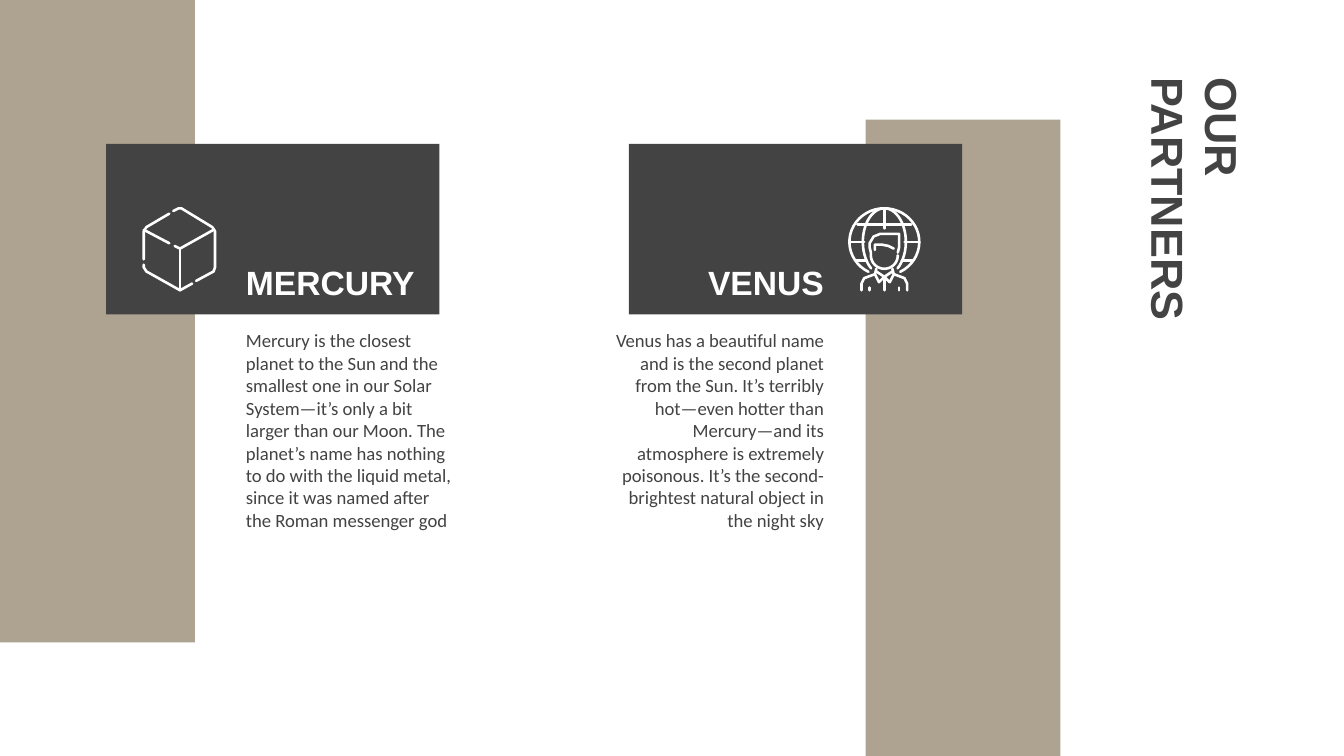
"""Build the partners slide with two planet columns."""
from dataclasses import dataclass
from math import cos, radians, sin

from lxml.etree import SubElement
from pptx import Presentation
from pptx.dml.color import RGBColor
from pptx.enum.shapes import MSO_SHAPE
from pptx.enum.text import MSO_ANCHOR as Anchor, MSO_AUTO_SIZE as AutoSize, PP_ALIGN as Align
from pptx.oxml.ns import qn
from pptx.util import Inches, Pt


@dataclass(frozen=True)
class Theme:
    """Colours, fonts and sizes of the slide."""
    dark: RGBColor = RGBColor(0x43, 0x43, 0x43)
    sand: RGBColor = RGBColor(0x90, 0x82, 0x69)
    white: RGBColor = RGBColor(0xFF, 0xFF, 0xFF)
    sand_opacity: int = 73
    heading_font: str = "Arial"
    body_font: str = "Calibri"
    title_size: Pt = Pt(24)
    heading_size: Pt = Pt(18)
    body_size: Pt = Pt(10)
    icon_line: Pt = Pt(1.4)


THEME = Theme()
GLOBE_X, GLOBE_Y = 6.58, 1.8
MERCURY = (
    "Mercury is the closest planet to the Sun and the smallest one in our Solar "
    "System—it’s only a bit larger than our Moon. The planet’s name has nothing to do "
    "with the liquid metal, since it was named after the Roman messenger god"
)
VENUS = (
    "Venus has a beautiful name and is the second planet from the Sun. It’s terribly "
    "hot—even hotter than Mercury—and its atmosphere is extremely poisonous. It’s the "
    "second-brightest natural object in the night sky"
)


def add_block(slide, box, color, opacity=100):
    """Add a flat rectangle, optionally see-through."""
    shape = slide.shapes.add_shape(MSO_SHAPE.RECTANGLE, *map(Inches, box))
    shape.shadow.inherit = False
    shape.fill.solid()
    shape.fill.fore_color.rgb = color
    shape.line.fill.background()
    if opacity < 100:
        color_element = shape.fill._xPr.find(qn("a:solidFill"))[0]
        SubElement(color_element, qn("a:alpha"), val=str(opacity * 1000))


def place_text(slide, index, box, text, size, color, font_name, bold=False,
               align=Align.LEFT, anchor=Anchor.TOP, rotation=0):
    """Move a placeholder to the front and write one formatted paragraph in it."""
    shape = slide.placeholders[index]
    slide.shapes._spTree.append(shape._element)
    shape.left, shape.top, shape.width, shape.height = map(Inches, box)
    shape.rotation = rotation
    frame = shape.text_frame
    frame.word_wrap = True
    frame.auto_size = AutoSize.NONE
    frame.vertical_anchor = anchor
    frame.margin_left = frame.margin_right = Inches(0.1)
    frame.margin_top = frame.margin_bottom = Inches(0.1)
    paragraph = frame.paragraphs[0]
    properties = paragraph._p.get_or_add_pPr()
    properties.set("marL", "0")
    properties.set("indent", "0")
    SubElement(properties, qn("a:buNone"))
    paragraph.alignment = align
    paragraph.space_before = Pt(0)
    run = paragraph.add_run()
    run.text = text
    run.font.name = font_name
    run.font.size = size
    run.font.bold = bold
    run.font.color.rgb = color


def add_icon(slide, strokes):
    """Draw open strokes as one outline with round ends."""
    paths = [[(Inches(x), Inches(y)) for x, y in stroke] for stroke in strokes]
    builder = slide.shapes.build_freeform(*paths[0][0])
    for number, path in enumerate(paths):
        if number:
            builder.move_to(*path[0])
        builder.add_line_segments(path[1:], close=False)
    shape = builder.convert_to_shape()
    shape.shadow.inherit = False
    shape.fill.background()
    shape.line.color.rgb = THEME.white
    shape.line.width = THEME.icon_line
    shape.line._get_or_add_ln().set("cap", "rnd")


def arc(center_y, radius_x, radius_y, start, end, steps=40):
    """Return points of an elliptical arc on the globe's axis."""
    angles = [radians(start + (end - start) * step / steps) for step in range(steps + 1)]
    return [(GLOBE_X + radius_x * cos(a), center_y + radius_y * sin(a)) for a in angles]


def mirror(stroke):
    """Reflect a stroke across the globe's axis."""
    return [(2 * GLOBE_X - x, y) for x, y in stroke]


def cube_strokes():
    """Return the strokes of the cube icon."""
    return [
        [(1.29, 1.57), (1.33, 1.55), (1.35, 1.55), (1.58, 1.69), (1.6, 1.72),
         (1.6, 1.99), (1.59, 2.02), (1.46, 2.09)],
        [(1.43, 2.11), (1.34, 2.16), (1.09, 2.02), (1.07, 1.99), (1.07, 1.97)],
        [(1.07, 1.93), (1.07, 1.72), (1.09, 1.69), (1.26, 1.59)],
        [(1.07, 1.71), (1.26, 1.81)],
        [(1.3, 1.83), (1.34, 1.85), (1.59, 1.71)],
        [(1.34, 1.85), (1.34, 2.16)],
    ]


def globe_strokes():
    """Return the strokes of the globe and person icon."""
    left_half = [
        [(6.32, 1.8), (6.43, 1.8)],
        [(6.37, 1.94), (6.45, 1.94)],
        [(6.41, 2.16), (6.41, 2.11), (6.43, 2.07), (6.51, 2.04), (6.52, 2)],
        [(6.51, 2.04), (6.54, 2.1), (6.58, 2.06), (6.52, 2.02)],
        [(6.47, 2.14), (6.47, 2.16)],
    ]
    head = [(6.68, 1.88), (6.69, 1.84), (6.69, 1.74), (6.55, 1.74), (6.5, 1.76),
            (6.47, 1.81), (6.47, 1.84), (6.48, 1.88)]
    return [
        arc(GLOBE_Y, 0.26, 0.25, 117, 423),
        arc(GLOBE_Y, 0.16, 0.25, 128, 412),
        [(6.38, 1.67), (6.78, 1.67)],
        [(6.58, 1.55), (6.58, 1.7)],
        head + arc(1.9, 0.1, 0.1, 180, 0),
        [(6.51, 1.86), (6.51, 1.82), (6.56, 1.82), (6.61, 1.83), (6.65, 1.85)],
        [(6.58, 2.06), (6.58, 2.16)],
        *left_half,
        *map(mirror, left_half),
    ]


def add_partner(slide, index, name, text, heading_left, body_left, align):
    """Write the heading and description of one planet."""
    place_text(slide, index, (heading_left, 1.93, 2.86, 0.42), name, THEME.heading_size,
               THEME.white, THEME.heading_font, True, align, Anchor.BOTTOM)
    place_text(slide, index + 1, (body_left, 2.35, 1.78, 1.22), text, THEME.body_size,
               THEME.dark, THEME.body_font, align=align)


def main():
    """Build and save the slide."""
    presentation = Presentation()
    presentation.slide_width, presentation.slide_height = Inches(10), Inches(10 * 9 / 16)
    slide = presentation.slides.add_slide(presentation.slide_layouts.get_by_name("Comparison"))
    for band_left, band_top, card_left in ((6.44, 0.89, 4.68), (0, 0, 0.79)):
        add_block(slide, (band_left, band_top, 1.45, 4.78), THEME.sand, THEME.sand_opacity)
        add_block(slide, (card_left, 1.07, 2.48, 1.27), THEME.dark)
    place_text(slide, 0, (7.56, 1.55, 2.68, 0.53), "OUR PARTNERS", THEME.title_size,
               THEME.dark, THEME.heading_font, True, anchor=Anchor.MIDDLE, rotation=90)
    add_icon(slide, cube_strokes())
    add_icon(slide, globe_strokes())
    add_partner(slide, 1, "MERCURY", MERCURY, 1.73, 1.73, Align.LEFT)
    add_partner(slide, 3, "VENUS", VENUS, 3.37, 4.45, Align.RIGHT)
    presentation.save("out.pptx")


if __name__ == "__main__":
    main()
